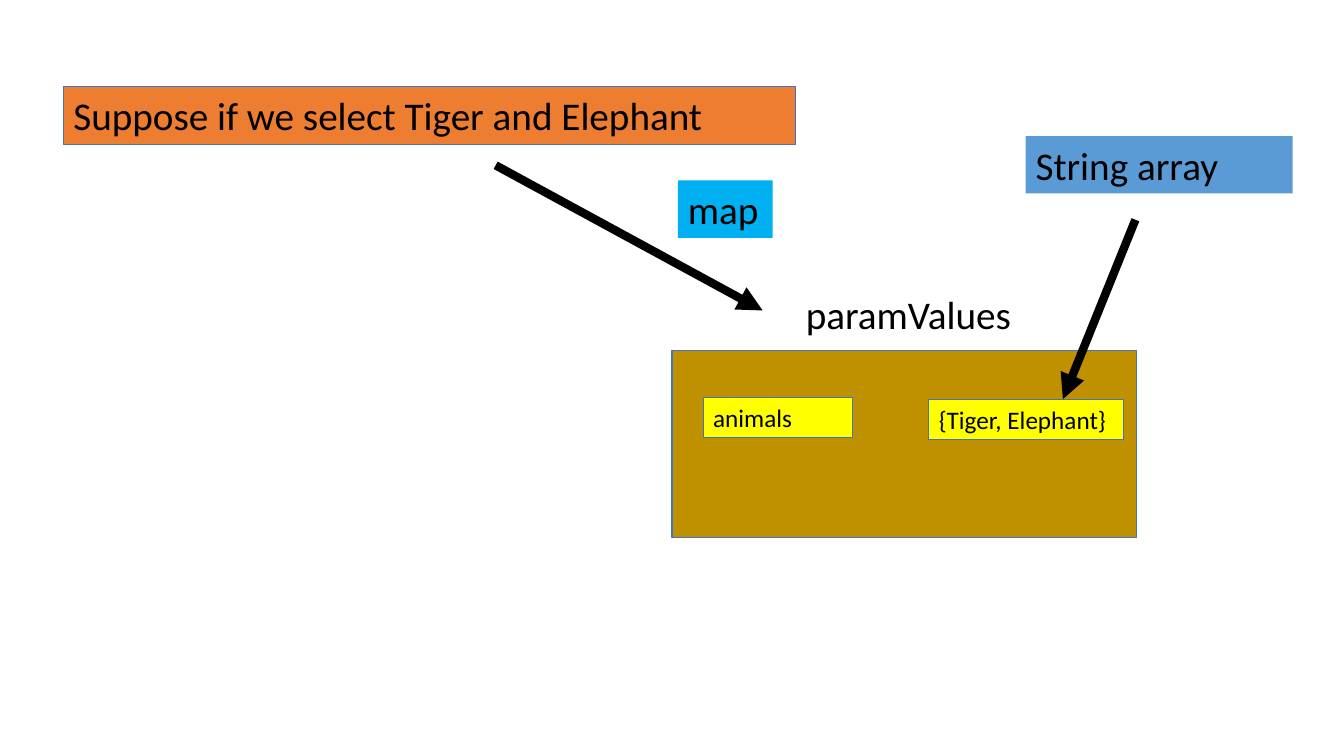
import dataclasses

import pptx
import pptx.dml.color
import pptx.enum.shapes
import pptx.enum.text
import pptx.oxml
import pptx.oxml.ns
import pptx.util


@dataclasses.dataclass(frozen=True)
class Theme:
    font: str = "Calibri"
    label_size: int = 28
    entry_size: int = 18
    border_width: float = 0.75
    arrow_width: float = 6
    ink: str = "000000"
    border: str = "4472C4"
    selection: str = "ED7D31"
    container: str = "BF9000"
    entry: str = "FFFF00"
    map_tag: str = "00B0F0"
    array_tag: str = "5B9BD5"


def rgb(value):
    return pptx.dml.color.RGBColor.from_string(value)


class MapDiagram:
    """Places elements on a grid whose columns and rows are one inch."""

    COLUMNS, ROWS = 13.34, 7.5
    LABEL_ROWS, ENTRY_ROWS = 0.57, 0.4

    def __init__(self, theme):
        self.theme = theme
        self.deck = pptx.Presentation()
        self.deck.slide_width = self.grid(self.COLUMNS)
        self.deck.slide_height = self.grid(self.ROWS)
        self.slide = self.deck.slides.add_slide(self.deck.slide_layouts[6])

    def grid(self, cells):
        return pptx.util.Inches(cells)

    def add_text(self, shape, text, size):
        frame_format = {
            "word_wrap": True,
            "auto_size": pptx.enum.text.MSO_AUTO_SIZE.SHAPE_TO_FIT_TEXT,
            "vertical_anchor": pptx.enum.text.MSO_ANCHOR.TOP,
        }
        for name, value in frame_format.items():
            setattr(shape.text_frame, name, value)
        paragraph = shape.text_frame.paragraphs[0]
        paragraph.alignment = pptx.enum.text.PP_ALIGN.LEFT
        run = paragraph.add_run()
        run.text = text
        font_format = {"name": self.theme.font, "size": pptx.util.Pt(size)}
        for name, value in font_format.items():
            setattr(run.font, name, value)
        run.font.color.rgb = rgb(self.theme.ink)

    def box(self, column, row, columns, rows, fill, bordered=True):
        shape = self.slide.shapes.add_shape(
            pptx.enum.shapes.MSO_SHAPE.RECTANGLE,
            *map(self.grid, (column, row, columns, rows)))
        shape.shadow.inherit = False
        shape.fill.solid()
        shape.fill.fore_color.rgb = rgb(fill)
        if bordered:
            shape.line.color.rgb = rgb(self.theme.border)
            shape.line.width = pptx.util.Pt(self.theme.border_width)
        else:
            shape.line.fill.background()
        return shape

    def label(self, text, column, row, columns, fill, bordered=False):
        shape = self.box(column, row, columns, self.LABEL_ROWS, fill, bordered)
        self.add_text(shape, text, self.theme.label_size)

    def entry(self, text, column, row, columns):
        shape = self.box(column, row, columns, self.ENTRY_ROWS, self.theme.entry)
        self.add_text(shape, text, self.theme.entry_size)

    def caption(self, text, column, row, columns):
        shape = self.slide.shapes.add_textbox(
            *map(self.grid, (column, row, columns, self.LABEL_ROWS)))
        self.add_text(shape, text, self.theme.label_size)

    def arrow(self, start, end):
        connector = self.slide.shapes.add_connector(
            pptx.enum.shapes.MSO_CONNECTOR.STRAIGHT,
            *map(self.grid, (*start, *end)))
        connector.line.color.rgb = rgb(self.theme.ink)
        connector.line.width = pptx.util.Pt(self.theme.arrow_width)
        qn = pptx.oxml.ns.qn
        properties = connector.element.find(qn("p:spPr"))
        outline = properties.find(qn("a:ln"))
        outline.append(outline.makeelement(qn("a:tailEnd"), {"type": "triangle"}))
        properties.append(properties.makeelement(qn("a:effectLst"), {}))


def main():
    theme = Theme()
    diagram = MapDiagram(theme)

    # Selection made by the user
    diagram.label("Suppose if we select Tiger and Elephant",
                  0.63, 0.86, 7.27, theme.selection, bordered=True)

    # Map with its key and value
    diagram.box(6.67, 3.48, 4.61, 1.85, theme.container)
    diagram.caption("paramValues", 7.9, 2.83, 2.8)
    diagram.entry("animals", 6.98, 3.94, 1.48)
    diagram.entry("{Tiger, Elephant}", 9.22, 3.96, 1.93)

    # Arrows and the types they point to
    diagram.arrow((4.92, 1.64), (7.57, 3.08))
    diagram.label("map", 6.73, 1.79, 0.94, theme.map_tag)
    diagram.arrow((11.27, 2.18), (10.55, 3.96))
    diagram.label("String array", 10.18, 1.35, 2.65, theme.array_tag)

    diagram.deck.save("out.pptx")


if __name__ == "__main__":
    main()
